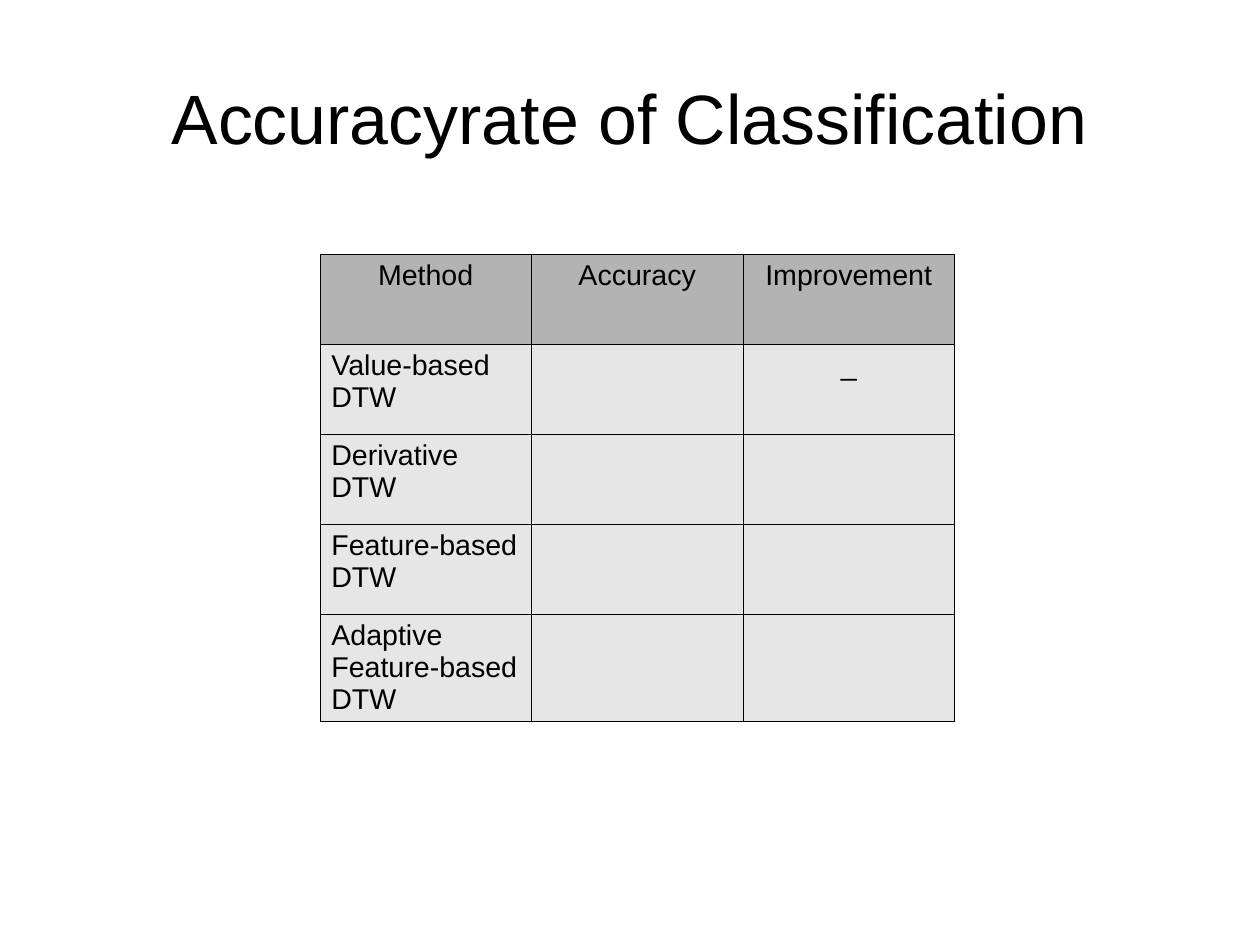
from lxml import etree
from pptx import Presentation
from pptx.dml.color import RGBColor
from pptx.enum.text import MSO_ANCHOR, PP_ALIGN
from pptx.oxml.ns import qn
from pptx.util import Cm, Pt

CENTER = PP_ALIGN.CENTER
LEFT = PP_ALIGN.LEFT
MIDDLE = MSO_ANCHOR.MIDDLE
TITLE_ONLY = 5
FONT = "Arial"
COLORS = {"text": "000000", "border": "000000", "header": "B3B3B3", "body": "E6E6E6"}

HEADERS = ["Method", "Accuracy", "Improvement"]
METHODS = [
    ["Value-based DTW"],
    ["Derivative DTW"],
    ["Feature-based", "DTW"],
    ["Adaptive Feature-based DTW"],
]
IMPROVEMENTS = ["_", "", "", ""]


def write_lines(text_frame, lines, size, alignment):
    for index, line in enumerate(lines):
        paragraph = text_frame.paragraphs[0] if index == 0 else text_frame.add_paragraph()
        paragraph.alignment = alignment
        paragraph.font.size = Pt(size)
        if line:
            run = paragraph.add_run()
            run.text = line
            run.font.name = FONT
            run.font.size = Pt(size)
            run.font.color.rgb = RGBColor.from_string(COLORS["text"])


def add_borders(cell):
    properties = cell._tc.get_or_add_tcPr()
    for position, side in enumerate(["lnL", "lnR", "lnT", "lnB"]):
        line = etree.Element(qn(f"a:{side}"), w=str(Pt(0.06)))
        fill = etree.SubElement(line, qn("a:solidFill"))
        etree.SubElement(fill, qn("a:srgbClr"), val=COLORS["border"])
        properties.insert(position, line)


def format_cell(cell, lines, color, alignment):
    cell.fill.solid()
    cell.fill.fore_color.rgb = RGBColor.from_string(color)
    add_borders(cell)
    write_lines(cell.text_frame, lines, 18, alignment)


def place_title(slide, left, top, width, height):
    title = slide.shapes.title
    title.left, title.top, title.width, title.height = left, top, width, height
    frame = title.text_frame
    frame.margin_left = frame.margin_right = frame.margin_top = frame.margin_bottom = 0
    frame.vertical_anchor = MIDDLE
    frame.word_wrap = True
    write_lines(frame, ["Accuracyrate of Classification"], 44, CENTER)


def add_accuracy_table(slide, left, top, width, row_height):
    row_count = len(METHODS) + 1
    table = slide.shapes.add_table(
        row_count, len(HEADERS), left, top, width, row_height * row_count
    ).table
    for row in table.rows:
        row.height = row_height
    for column, header in enumerate(HEADERS):
        format_cell(table.cell(0, column), [header], COLORS["header"], CENTER)
    for row, (method, improvement) in enumerate(zip(METHODS, IMPROVEMENTS), start=1):
        format_cell(table.cell(row, 0), method, COLORS["body"], LEFT)
        format_cell(table.cell(row, 1), [""], COLORS["body"], CENTER)
        format_cell(table.cell(row, 2), [improvement], COLORS["body"], CENTER)


def main():
    presentation = Presentation()
    presentation.slide_width = Cm(28)
    presentation.slide_height = Cm(21)
    slide = presentation.slides.add_slide(presentation.slide_layouts[TITLE_ONLY])
    place_title(slide, Cm(1.4), Cm(0.84), Cm(25.2), Cm(3.5))
    add_accuracy_table(slide, Cm(7.11), Cm(5.64), Cm(14.1), Cm(2))
    presentation.save("out.pptx")


if __name__ == "__main__":
    main()
